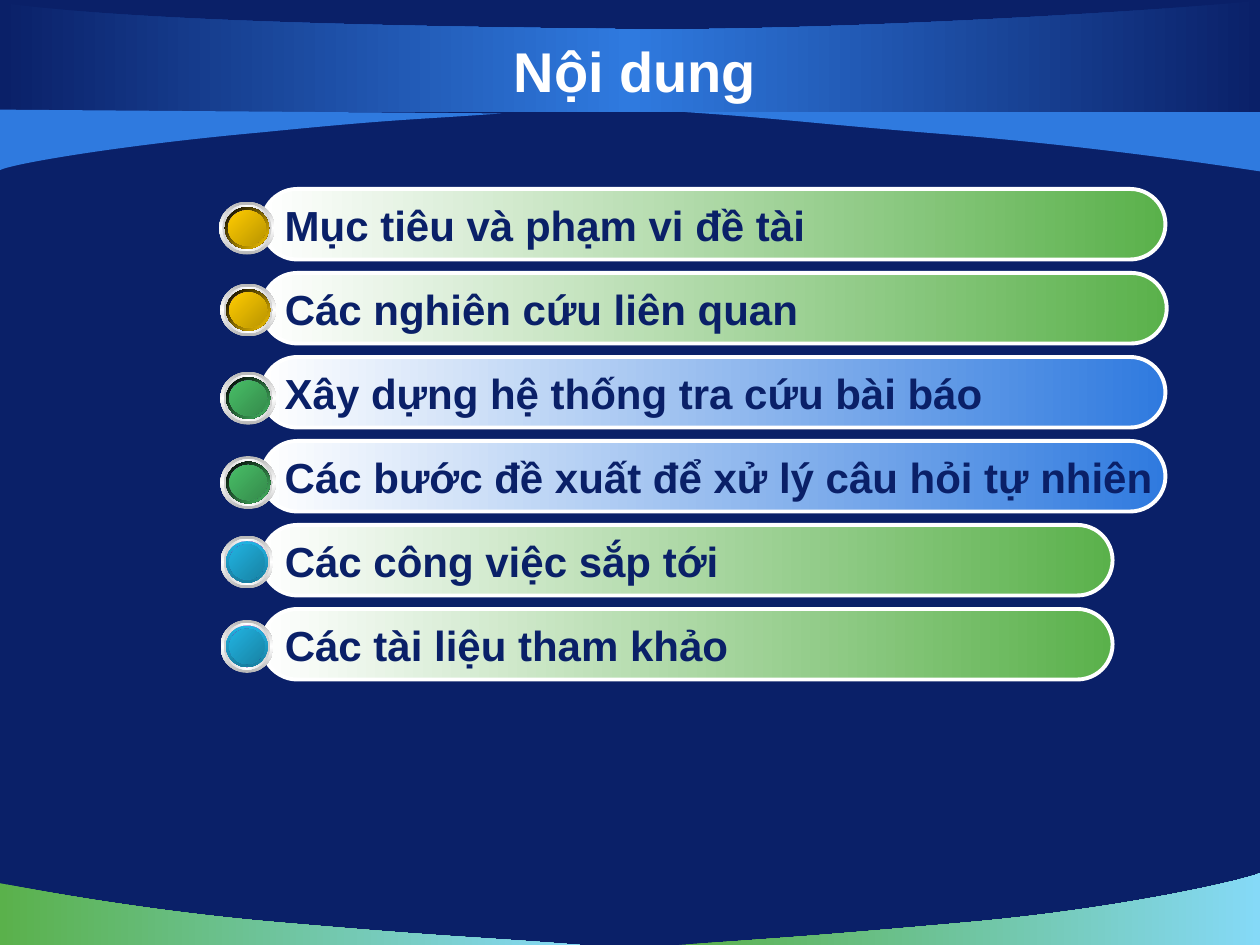
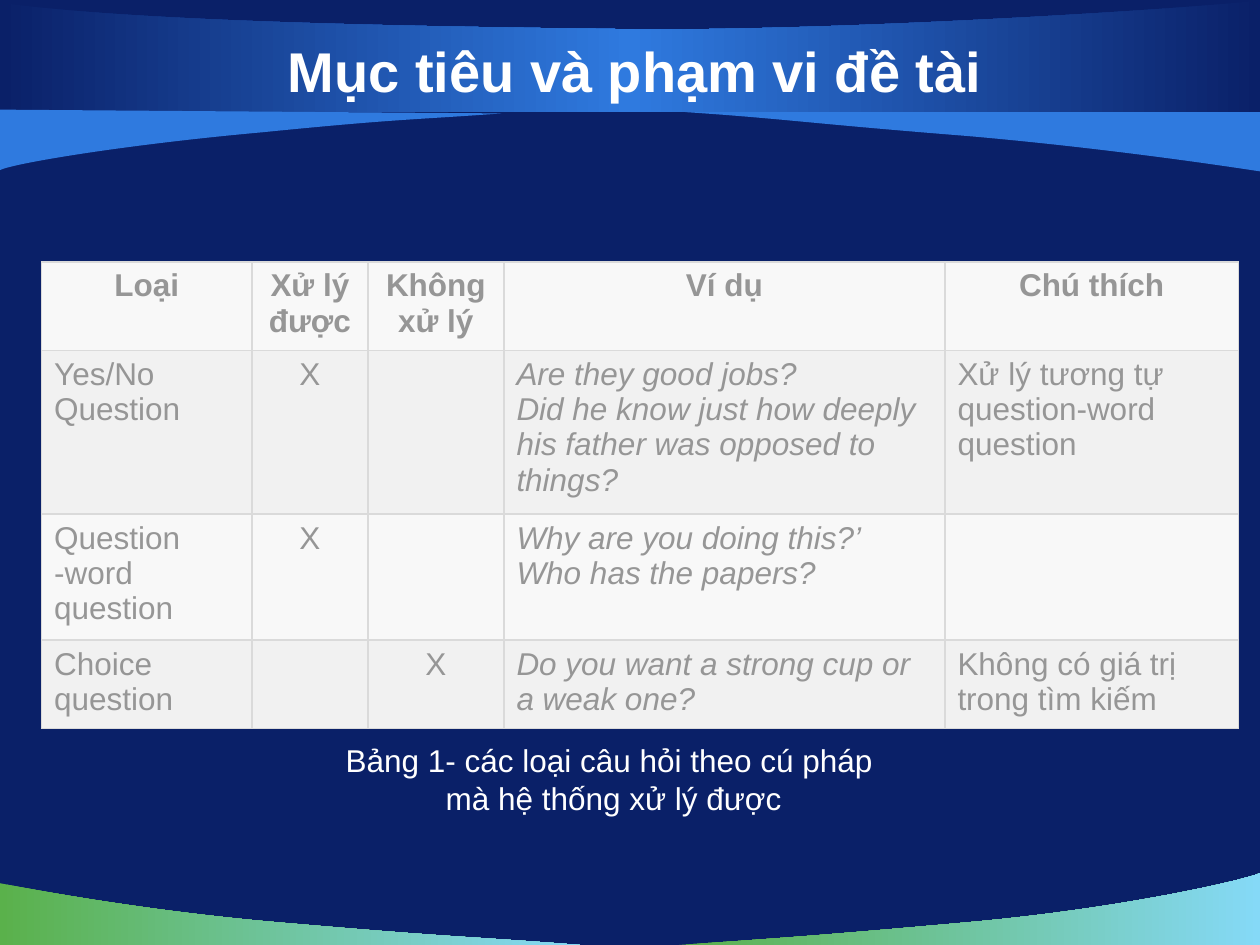
import copy

import pptx
import pptx.dml.color
import pptx.enum.shapes
import pptx.enum.text
import pptx.oxml
import pptx.oxml.ns
import pptx.util
from pptx.dml.color import RGBColor
from pptx.util import Inches

NAVY = RGBColor(0x0A, 0x20, 0x68)
BLUE = RGBColor(0x2F, 0x7A, 0xDF)
SKY = RGBColor(0x85, 0xD9, 0xF7)
LEAF = RGBColor(0x5A, 0xB1, 0x4B)
WHITE = RGBColor(0xFF, 0xFF, 0xFF)
BLACK = RGBColor(0x00, 0x00, 0x00)
SILVER = RGBColor(0xB6, 0xB6, 0xB6)
PEARL = RGBColor(0xD1, 0xD1, 0xD1)
PURPLE = RGBColor(0x8A, 0x52, 0xC8)
DARK_PURPLE = RGBColor(0x6A, 0x3F, 0x99)
GOLD = RGBColor(0xFF, 0xCC, 0x00)
DARK_GOLD = RGBColor(0xBA, 0x95, 0x00)
GREEN = RGBColor(0x48, 0xBE, 0x67)
DARK_GREEN = RGBColor(0x35, 0x8B, 0x4B)
CYAN = RGBColor(0x21, 0xB3, 0xE1)
TEAL = RGBColor(0x18, 0x80, 0xA1)
DARK_CYAN = RGBColor(0x18, 0x83, 0xA4)
GREY_TEXT = RGBColor(0x96, 0x96, 0x96)
ROW_LIGHT = RGBColor(0xF8, 0xF8, 0xF8)
ROW_DARK = RGBColor(0xF1, 0xF1, 0xF1)
GRID = RGBColor(0xDA, 0xDA, 0xDA)
FONT = "Arial"
OVAL = pptx.enum.shapes.MSO_SHAPE.OVAL
PILL = pptx.enum.shapes.MSO_SHAPE.ROUNDED_RECTANGLE
LEFT = pptx.enum.text.PP_ALIGN.LEFT
CENTER = pptx.enum.text.PP_ALIGN.CENTER
MIDDLE = pptx.enum.text.MSO_ANCHOR.MIDDLE


def write(frame, text, size=18, color=WHITE, bold=False, italic=False, align=LEFT):
    for number, line in enumerate(text.split("\n")):
        paragraph = frame.add_paragraph() if number else frame.paragraphs[0]
        paragraph.alignment = align
        run = paragraph.add_run()
        run.text = line
        run.font.name = FONT
        run.font.size = pptx.util.Pt(size)
        run.font.color.rgb = color
        run.font.bold = bold
        run.font.italic = italic


def paint(shape, colors, angle=0):
    shape.shadow.inherit = False
    shape.line.fill.background()
    if len(colors) == 1:
        shape.fill.solid()
        shape.fill.fore_color.rgb = colors[0]
        return
    shape.fill.gradient()
    shape.fill.gradient_angle = -angle % 360
    stop_list = shape._element.spPr.find(".//" + pptx.oxml.ns.qn("a:gsLst"))
    if len(colors) == 3:
        stop_list.append(copy.deepcopy(stop_list[0]))
    for number, (stop, color) in enumerate(zip(shape.fill.gradient_stops, colors)):
        stop.color.rgb = color
        stop.position = number / (len(colors) - 1)


BANDS = [
    ([LEAF, SKY], [(4.6, 7.5), (3.84, 7.44, 3.58, 7.44, 2.32, 7.33),
                   (1.06, 7.23, 0.01, 7.01, 0, 7.01), (0, 7.5)]),
    ([LEAF, SKY], [(5.39, 7.5), (6.14, 7.45, 6.46, 7.43, 7.69, 7.32),
                   (8.92, 7.21, 9.9, 6.98, 10, 6.93), (10, 7.5)]),
    ([BLUE], [(5.44, 0.89), (6.2, 0.94, 6.42, 0.98, 7.68, 1.08),
              (8.94, 1.19, 9.99, 1.36, 10, 1.36), (10, 0.88)]),
    ([NAVY, BLUE, NAVY], [(0, 0.89), (10, 0.89), (10, 0),
                          (9.64, 0.06, 6.53, 0.26, 4.87, 0.23),
                          (3.21, 0.21, 1.01, 0.17, 0, 0.02)]),
    ([BLUE], [(3.98, 0.9), (3.31, 0.95, 3.18, 0.94, 2.08, 1.05),
              (0.97, 1.15, 0.09, 1.3, 0, 1.35), (0, 0.87)]),
]

deck = pptx.Presentation()
deck.slide_width = Inches(10)
deck.slide_height = Inches(7.5)
master_fill = deck.slide_master.background.fill
master_fill.solid()
master_fill.fore_color.rgb = NAVY

slides = []
for heading in ["Nội dung", "Mục tiêu và phạm vi đề tài"]:
    slide = deck.slides.add_slide(deck.slide_layouts[6])
    slides.append(slide)
    for colors, steps in BANDS:
        corners = [(Inches(step[-2]), Inches(step[-1])) for step in steps]
        builder = slide.shapes.build_freeform(*corners[0])
        builder.add_line_segments(corners[1:], close=True)
        band = builder.convert_to_shape()
        segments = list(band._element.iter(pptx.oxml.ns.qn("a:lnTo")))
        for segment, step in zip(segments, steps[1:]):
            if len(step) == 6:
                points = "".join(
                    f'<a:pt x="{Inches(x) - band.left}" y="{Inches(y) - band.top}"/>'
                    for x, y in zip(step[::2], step[1::2]))
                segment.getparent().replace(segment, pptx.oxml.parse_xml(
                    f'<a:cubicBezTo {pptx.oxml.ns.nsdecls("a")}>{points}</a:cubicBezTo>'))
        paint(band, colors)
    title = slide.shapes.add_textbox(Inches(0.5), Inches(0.25), Inches(9.08), Inches(0.62))
    title.text_frame.word_wrap = True
    title.text_frame.vertical_anchor = MIDDLE
    write(title.text_frame, heading, size=32, bold=True, align=CENTER)

contents_slide, scope_slide = slides

GOLD_BALL = ([BLACK, GOLD], 45, [GOLD, DARK_GOLD])
GREEN_BALL = ([BLACK, GREEN], 45, [GREEN, DARK_GREEN])
CYAN_BALL = ([CYAN, TEAL], 90, [CYAN, DARK_CYAN])
TOPICS = [
    ("Mục tiêu và phạm vi đề tài", 7.17, LEAF, GOLD_BALL, 1.74, 1.6, 0.44),
    ("Các nghiên cứu liên quan", 7.18, LEAF, GOLD_BALL, 1.75, 2.25, 0.44),
    ("Xây dựng hệ thống tra cứu bài báo", 7.17, BLUE, GREEN_BALL, 1.75, 2.95, 0.44),
    ("Các bước đề xuất để xử lý câu hỏi tự nhiên", 7.17, BLUE, GREEN_BALL, 1.75, 3.62, 0.44),
    ("Các công việc sắp tới", 6.75, LEAF, CYAN_BALL, 1.75, 4.25, 0.42),
    ("Các tài liệu tham khảo", 6.75, LEAF, CYAN_BALL, 1.75, 4.92, 0.42),
]
for number, (topic, bar_width, bar_color, ball, ball_left, ball_top, ball_width) in enumerate(TOPICS):
    bar = contents_slide.shapes.add_shape(
        PILL, Inches(2.08), Inches(1.5 + number * 2 / 3), Inches(bar_width), Inches(0.56))
    bar.adjustments[0] = 0.5
    paint(bar, [WHITE, bar_color])
    bar.line.color.rgb = WHITE
    bar.line.width = pptx.util.Pt(2.25)
    bar.text_frame.word_wrap = False
    bar.text_frame.vertical_anchor = MIDDLE
    write(bar.text_frame, topic, size=24, color=NAVY, bold=True)

    rim_colors, rim_angle, face_colors = ball
    ball_layers = [
        (0, [SILVER, WHITE, SILVER], 90),
        (0.05, [PEARL, WHITE, PEARL], 0),
        (0.09, [WHITE, PURPLE, WHITE], 45),
        (0.09, rim_colors, rim_angle),
        (0.14, [DARK_PURPLE, PURPLE, DARK_PURPLE], 315),
        (0.14, face_colors, 45),
    ]
    ball_group = contents_slide.shapes.add_group_shape()
    for shrink, colors, angle in ball_layers:
        layer = ball_group.shapes.add_shape(
            OVAL, Inches(ball_left + shrink / 2), Inches(ball_top + shrink / 2),
            Inches(ball_width - shrink), Inches(0.42 - shrink))
        paint(layer, colors, angle)

QUESTION_TYPES = [
    ["Loại", "Xử lý được", "Không xử lý", "Ví dụ", "Chú thích"],
    ["Yes/No Question", "X", "",
     "Are they good jobs?\nDid he know just how deeply his father was opposed to things?",
     "Xử lý tương tự question-word question"],
    ["Question -word question", "X", "", "Why are you doing this?’\nWho has the papers?", ""],
    ["Choice question", "", "X", "Do you want a strong cup or a weak one?",
     "Không có giá trị trong tìm kiếm"],
]
COLUMN_WIDTHS = [1.67, 0.92, 1.08, 3.5, 2.33]
EXAMPLE_COLUMN = 3
question_frame = scope_slide.shapes.add_table(
    len(QUESTION_TYPES), len(COLUMN_WIDTHS), Inches(0.33), Inches(2.08),
    Inches(sum(COLUMN_WIDTHS)), Inches(3.7))
question_table = question_frame.table
for column, width in zip(question_table.columns, COLUMN_WIDTHS):
    column.width = Inches(width)
for r, entries in enumerate(QUESTION_TYPES):
    question_table.rows[r].height = Inches(0.41)
    for c, entry in enumerate(entries):
        cell = question_table.cell(r, c)
        for side in ["lnL", "lnR", "lnT", "lnB"]:
            cell._tc.get_or_add_tcPr().append(pptx.oxml.parse_xml(
                f'<a:{side} {pptx.oxml.ns.nsdecls("a")} w="12700"><a:solidFill>'
                f'<a:srgbClr val="{GRID}"/></a:solidFill></a:{side}>'))
        cell.fill.solid()
        cell.fill.fore_color.rgb = ROW_DARK if r % 2 else ROW_LIGHT
        if entry:
            write(cell.text_frame, entry, color=GREY_TEXT, bold=r == 0,
                  italic=r > 0 and c == EXAMPLE_COLUMN,
                  align=CENTER if r == 0 or c in (1, 2) else LEFT)
question_frame.height = Inches(3.7)

caption = scope_slide.shapes.add_textbox(Inches(1.58), Inches(5.83), Inches(6.58), Inches(0.71))
caption.text_frame.word_wrap = True
caption.text_frame.auto_size = pptx.enum.text.MSO_AUTO_SIZE.SHAPE_TO_FIT_TEXT
write(caption.text_frame, "Bảng 1- các loại câu hỏi theo cú pháp \nmà hệ thống xử lý được",
      align=CENTER)
deck.save("out.pptx")
